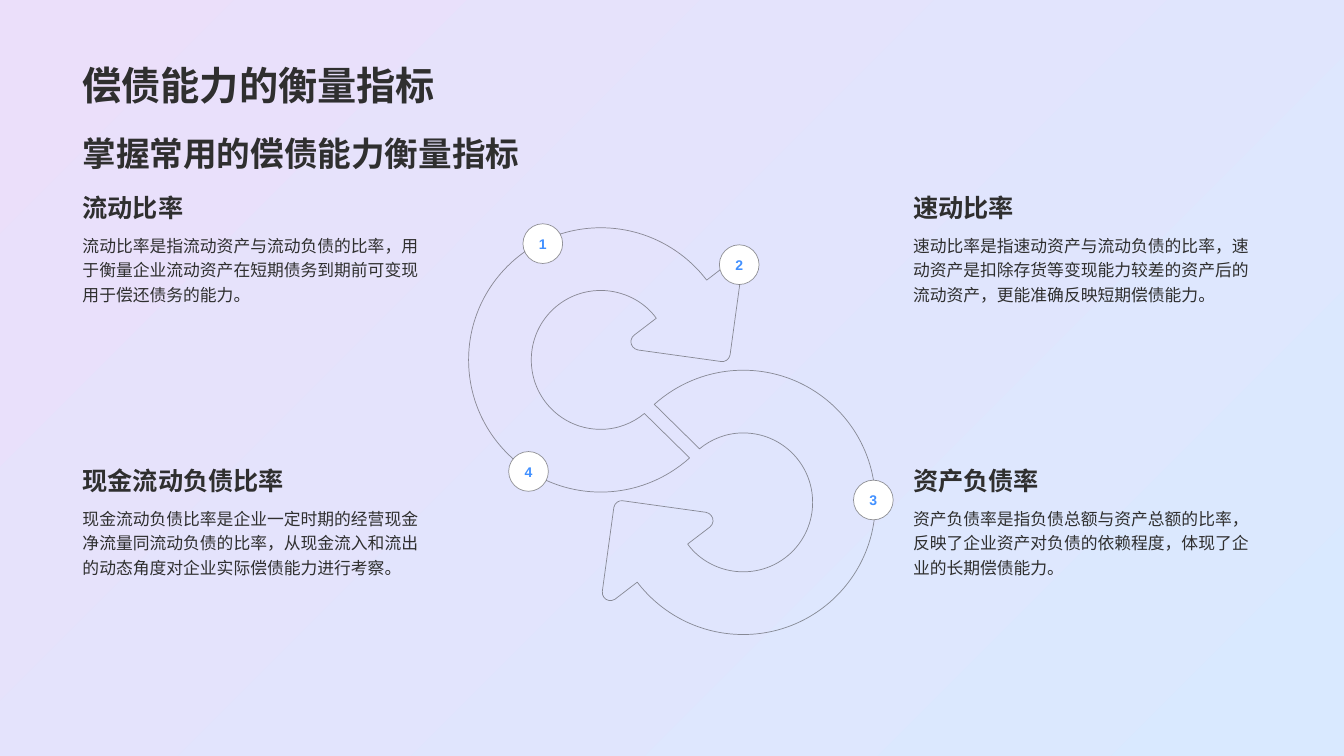
from pptx import Presentation
from pptx import util as u
from pptx.dml import color
from pptx.enum import shapes, text
from pptx.oxml import ns
from lxml import etree

COLOURS = {"ink": "2F2F2F", "number": "4190FF", "badge": "FFFFFF",
           "sky": "D9E9FF", "lilac": "EBDFFA"}
FONT = "Arial"

ARROW_START = (0, 175)
ARROW_STEPS = [
    [(41, 175), (80, 160), (110, 135)],
    [(224, 247)],
    [(165, 300), (86, 333), (0, 333)],
    [(-184, 333), (-333, 184), (-333, 0)],
    [(-333, -184), (-184, -333), (0, -333)],
    [(109, -333), (206, -281), (267, -201)],
    [(323, -244)],
    [(328, -247), (333, -248), (339, -247)],
    [(349, -245), (356, -236), (355, -224)],
    [(326, -13)],
    [(324, -2), (314, 6), (303, 4)],
    [(94, -25)],
    [(83, -27), (75, -37), (76, -48)],
    [(77, -54), (80, -60), (85, -63)],
    [(140, -105)],
    [(110, -147), (57, -175), (0, -175)],
    [(-97, -175), (-175, -97), (-175, 0)],
    [(-175, 97), (-97, 175), (0, 175)],
]
ARROWS = [((15.14, 9.07), 1), ((18.73, 12.66), -1)]

LEFT, RIGHT, UPPER, LOWER = 1.83, 22.76, 4.6, 11.48
INDICATORS = [
    ("流动比率",
     "流动比率是指流动资产与流动负债的比率，用于衡量企业流动资产在短期债务到期前可变现用于偿还债务的能力。",
     (LEFT, UPPER), (13.18, 5.64)),
    ("速动比率",
     "速动比率是指速动资产与流动负债的比率，速动资产是扣除存货等变现能力较差的资产后的流动资产，更能准确反映短期偿债能力。",
     (RIGHT, UPPER), (18.13, 6.17)),
    ("资产负债率",
     "资产负债率是指负债总额与资产总额的比率，反映了企业资产对负债的依赖程度，体现了企业的长期偿债能力。",
     (RIGHT, LOWER), (21.51, 12.1)),
    ("现金流动负债比率",
     "现金流动负债比率是企业一定时期的经营现金净流量同流动负债的比率，从现金流入和流出的动态角度对企业实际偿债能力进行考察。",
     (LEFT, LOWER), (12.82, 11.38)),
]


def rgb(name):
    """Return the named colour."""
    return color.RGBColor.from_string(COLOURS[name])


def style(paragraph, size, bold, colour="ink"):
    """Set the font of a whole paragraph."""
    font = paragraph.font
    font.name, font.size, font.bold = FONT, u.Pt(size), bold
    font.color.rgb = rgb(colour)


def outline(shape):
    """Give a shape a thin half-transparent outline and no shadow."""
    shape.shadow.inherit = False
    shape.line.width = u.Pt(0.5)
    shape.line.color.rgb = rgb("ink")
    ink = shape.line._ln.find(".//" + ns.qn("a:srgbClr"))
    etree.SubElement(ink, ns.qn("a:alpha"), val="50000")


def add_text(slide, box, words, size, bold=True, spacing=None,
             anchor=text.MSO_ANCHOR.MIDDLE):
    """Place one wrapped paragraph in a box."""
    frame = slide.shapes.add_textbox(*map(u.Cm, box)).text_frame
    frame.word_wrap = True
    frame.vertical_anchor = anchor
    paragraph = frame.paragraphs[0]
    paragraph.text = words
    if spacing:
        paragraph.line_spacing = spacing
    style(paragraph, size, bold)


def add_arrow(slide, centre, turn):
    """Draw a curved arrow round a centre; a turn of -1 rotates it by half."""
    steps = [[(x * turn, y * turn) for x, y in step] for step in ARROW_STEPS]
    start_x, start_y = (value * turn for value in ARROW_START)
    builder = slide.shapes.build_freeform(start_x, start_y, scale=u.Cm(0.01))
    builder.add_line_segments([point for step in steps for point in step])
    arrow = builder.convert_to_shape(*map(u.Cm, centre))
    route = arrow._element.find(".//" + ns.qn("a:path"))
    segments = iter(route.findall(ns.qn("a:lnTo")))
    for step in steps:
        first = next(segments)
        if len(step) == 3:
            first.tag = ns.qn("a:cubicBezTo")
            for _ in range(2):
                control = next(segments)
                first.append(control[0])
                route.remove(control)
    arrow.fill.background()
    outline(arrow)


def add_badge(slide, corner, number):
    """Draw a numbered circle at a corner."""
    badge = slide.shapes.add_shape(
        shapes.MSO_SHAPE.OVAL, *map(u.Cm, corner), u.Cm(1), u.Cm(1))
    badge.fill.solid()
    badge.fill.fore_color.rgb = rgb("badge")
    outline(badge)
    frame = badge.text_frame
    frame.word_wrap = False
    frame.vertical_anchor = text.MSO_ANCHOR.MIDDLE
    paragraph = frame.paragraphs[0]
    paragraph.text = str(number)
    paragraph.alignment = text.PP_ALIGN.CENTER
    style(paragraph, 10, True, "number")


def add_indicator(slide, corner, heading, explanation):
    """Place a heading with its explanation below a corner."""
    left, top = corner
    add_text(slide, (left, top, 9.25, 1.09), heading, 18, spacing=1.2)
    add_text(slide, (left, top + 1.12, 9.25, 4.45), explanation, 12,
             bold=False, spacing=1.2, anchor=text.MSO_ANCHOR.TOP)


def add_header(slide, left, top, width):
    """Place the title and the subtitle."""
    add_text(slide, (left, top, width, 2.49), "偿债能力的衡量指标", 28,
             anchor=text.MSO_ANCHOR.BOTTOM)
    add_text(slide, (left, top + 2.79, width, 1.3),
             "掌握常用的偿债能力衡量指标", 24, spacing=1.1)


def paint_background(slide):
    """Fill the slide with a diagonal gradient."""
    fill = slide.background.fill
    fill.gradient()
    fill.gradient_angle = 135
    for stop, name, place in zip(fill.gradient_stops, ("sky", "lilac"), (0, 1)):
        stop.color.rgb = rgb(name)
        stop.position = place


def main():
    """Build and save the slide."""
    deck = Presentation()
    deck.slide_width, deck.slide_height = u.Cm(33.87), u.Cm(19.05)
    slide = deck.slides.add_slide(deck.slide_layouts[6])
    paint_background(slide)
    add_header(slide, LEFT, 0.36, 30.18)
    for centre, turn in ARROWS:
        add_arrow(slide, centre, turn)
    for number, (heading, explanation, corner, spot) in enumerate(INDICATORS, 1):
        add_indicator(slide, corner, heading, explanation)
        add_badge(slide, spot, number)
    deck.save("out.pptx")


if __name__ == "__main__":
    main()
